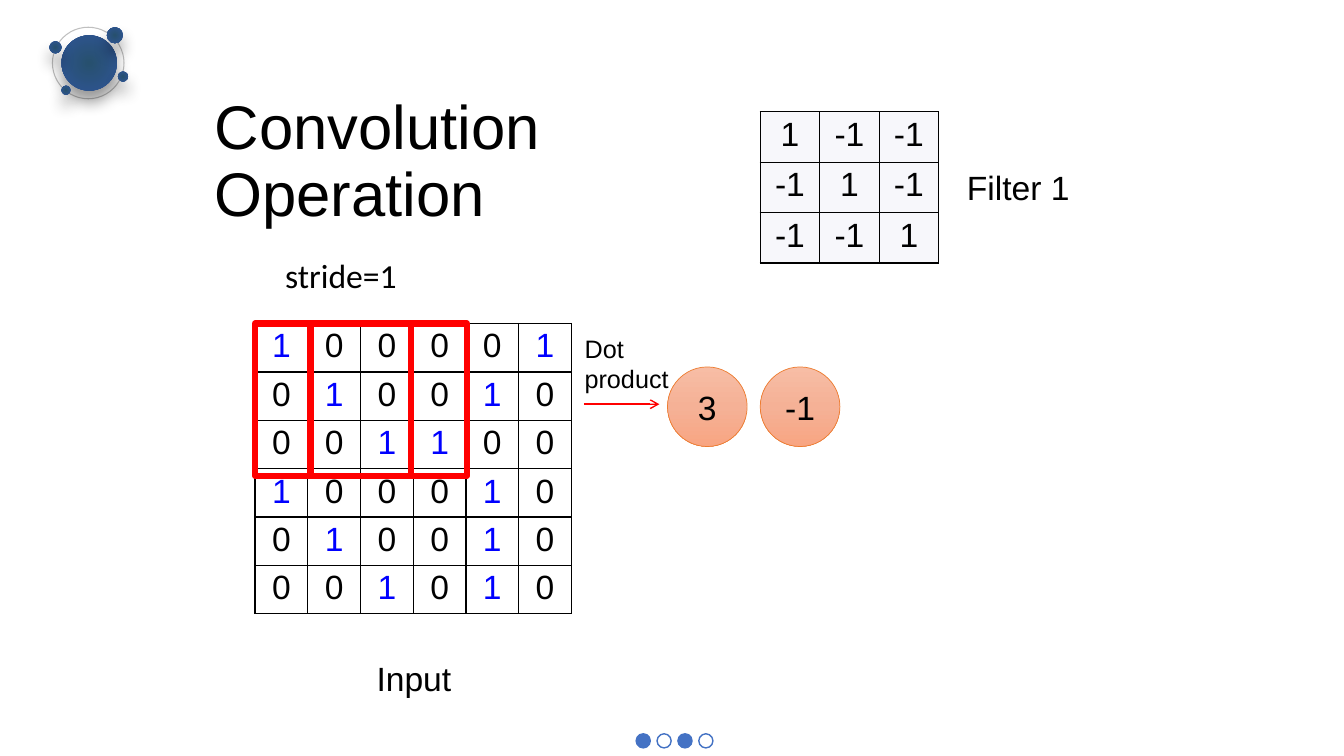
import pptx
import pptx.dml.color
import pptx.enum.shapes
import pptx.enum.text
import pptx.oxml
import pptx.oxml.ns
import pptx.util
from pptx.util import Inches

COLORS = {
    "black": "000000", "one": "0000FF", "red": "FF0000", "white": "FFFFFF",
    "filter": "F7F7FB", "ring": "BFBFBF", "dot": "4472C4", "result": "ED7D31",
}
ORB_STOPS = [(0, "27506E"), (100, "2F5597")]
RESULT_STOPS = [(0, "F7BDA5"), (50, "F5B196"), (100, "F8A582")]
RADIAL = '<a:path path="circle"><a:fillToRect l="50000" t="50000" r="50000" b="50000"/></a:path>'
LINEAR = '<a:lin ang="5400000" scaled="0"/>'
SHAPES = pptx.enum.shapes.MSO_SHAPE
CENTER = pptx.enum.text.PP_ALIGN.CENTER
LEFT = pptx.enum.text.PP_ALIGN.LEFT
MIDDLE = pptx.enum.text.MSO_ANCHOR.MIDDLE
TOP = pptx.enum.text.MSO_ANCHOR.TOP

INPUT = ["100001", "010010", "001100", "100010", "010010", "001010"]
FILTER = [["1" if row == column else "-1" for column in range(3)] for row in range(3)]


def color(name):
    """Return the named colour."""
    return pptx.dml.color.RGBColor.from_string(COLORS[name])


def element(tag, content="", attributes=""):
    """Build a DrawingML element."""
    namespace = pptx.oxml.ns.nsdecls("a")
    return pptx.oxml.parse_xml(f"<a:{tag} {namespace} {attributes}>{content}</a:{tag}>")


def write(text_frame, text, size=24, align=CENTER, font="Arial", ink="black", spacing=None):
    """Fill a text frame with one paragraph per line."""
    text_frame.text = text
    for paragraph in text_frame.paragraphs:
        paragraph.alignment = align
        paragraph.line_spacing = spacing
        paragraph.font.name = font
        paragraph.font.size = pptx.util.Pt(size)
        paragraph.font.color.rgb = color(ink)


def add_text(slide, box, text, wrap=True, anchor=TOP, **style):
    """Place a text box."""
    shape = slide.shapes.add_textbox(*map(Inches, box))
    shape.text_frame.word_wrap = wrap
    shape.text_frame.vertical_anchor = anchor
    write(shape.text_frame, text, **style)


def add_outline(slide, kind, box, fill=None, line=None, width=1):
    """Place a preset shape with an optional fill and line."""
    shape = slide.shapes.add_shape(kind, *map(Inches, box))
    shape.shadow.inherit = False
    if fill:
        shape.fill.solid()
        shape.fill.fore_color.rgb = color(fill)
    else:
        shape.fill.background()
    if line:
        shape.line.color.rgb = color(line)
        shape.line.width = pptx.util.Pt(width)
    else:
        shape.line.fill.background()
    return shape


def set_gradient(shape, stops, direction):
    """Replace the solid fill of a shape by a gradient."""
    content = "".join(
        f'<a:gs pos="{position * 1000}"><a:srgbClr val="{value}"/></a:gs>'
        for position, value in stops)
    properties = shape.element.spPr
    solid = properties.find(pptx.oxml.ns.qn("a:solidFill"))
    properties.replace(solid, element("gradFill", f"<a:gsLst>{content}</a:gsLst>{direction}"))


def add_ornament(slide, left, top):
    """Draw the ring with its orbiting balls."""
    add_outline(slide, SHAPES.OVAL, (left + 0.03, top, 0.71, 0.71), line="ring", width=0.75)
    orbs = [(0.12, 0.08, 0.55), (0.57, 0, 0.16), (0, 0.14, 0.12),
            (0.12, 0.58, 0.09), (0.68, 0.44, 0.1)]
    for x, y, size in orbs:
        orb = add_outline(slide, SHAPES.OVAL, (left + x, top + y, size, size), fill="dot")
        set_gradient(orb, ORB_STOPS, RADIAL)
        effects = orb.element.spPr.find(pptx.oxml.ns.qn("a:effectLst"))
        effects.append(element(
            "outerShdw", '<a:srgbClr val="000000"><a:alpha val="40000"/></a:srgbClr>',
            'blurRad="139700" dist="101600" dir="5400000"'))


def add_page_dots(slide, left, top):
    """Draw alternating filled and hollow dots."""
    for index in range(4):
        add_outline(slide, SHAPES.OVAL, (left + index * 0.207, top, 0.14, 0.14),
                    fill=None if index % 2 else "dot", line="dot")


def add_matrix(slide, left, top, cell_width, cell_height, values, fill=None, one="black"):
    """Draw a bordered table of numbers."""
    rows, columns = len(values), len(values[0])
    table = slide.shapes.add_table(
        rows, columns, Inches(left), Inches(top),
        Inches(columns * cell_width), Inches(rows * cell_height)).table
    table.first_row = table.horz_banding = False
    border = f'<a:solidFill><a:srgbClr val="{COLORS["black"]}"/></a:solidFill>'
    for column in table.columns:
        column.width = Inches(cell_width)
    for row, row_values in zip(table.rows, values):
        row.height = Inches(cell_height)
        for cell, value in zip(row.cells, row_values):
            cell.margin_top = cell.margin_bottom = Inches(0.04)
            write(cell.text_frame, value, ink=one if value == "1" else "black")
            if fill:
                cell.fill.solid()
                cell.fill.fore_color.rgb = color(fill)
            else:
                cell.fill.background()
            properties = cell._tc.get_or_add_tcPr()
            for index, side in enumerate(("lnL", "lnR", "lnT", "lnB")):
                properties.insert(index, element(side, border, 'w="12700"'))


def add_input(slide, left, top):
    """Draw the input matrix, its caption and the two filter windows."""
    add_matrix(slide, left, top, 0.523, 0.472, INPUT, one="one")
    add_text(slide, (left + 0.29, top + 3.27, 2.57, 0.5), "Input")
    add_text(slide, (left + 0.2, top - 0.73, 1.32, 0.51), "stride=1",
             wrap=False, align=LEFT, font="Calibri")
    for offset in (0, 0.55):
        add_outline(slide, SHAPES.RECTANGLE, (left + offset, top, 1.55, 1.51),
                    line="red", width=4.5)


def add_filter(slide, left, top):
    """Draw the filter matrix and its name."""
    add_matrix(slide, left, top, 0.59, 0.5, FILTER, fill="filter")
    add_text(slide, (left + 1.77, top + 0.5, 1.58, 0.51), "Filter 1")


def add_dot_product(slide, left, top):
    """Draw the labelled arrow and the resulting values."""
    for index, value in enumerate(("3", "-1")):
        circle = add_outline(slide, SHAPES.OVAL,
                             (left + 0.92 + index * 0.92, top + 0.38, 0.79, 0.79),
                             fill="result", line="result", width=0.5)
        set_gradient(circle, RESULT_STOPS, LINEAR)
        circle.text_frame.vertical_anchor = MIDDLE
        write(circle.text_frame, value)
    arrow = slide.shapes.add_connector(
        pptx.enum.shapes.MSO_CONNECTOR.STRAIGHT,
        *map(Inches, (left + 0.09, top + 0.75, left + 0.84, top + 0.75)))
    arrow.line.color.rgb = color("red")
    arrow.line.width = pptx.util.Pt(1)
    arrow.line._get_or_add_ln().append(element("tailEnd", attributes='type="arrow"'))
    arrow.element.spPr.append(element("effectLst"))
    add_text(slide, (left, top, 1.04, 0.71), "Dot\nproduct", wrap=False, size=18, align=LEFT)


def main():
    """Build the convolution slide."""
    presentation = pptx.Presentation()
    presentation.slide_width = Inches(13.33)
    presentation.slide_height = Inches(7.5)
    slide = presentation.slides.add_slide(presentation.slide_layouts[6])
    slide.background.fill.solid()
    slide.background.fill.fore_color.rgb = color("white")
    add_ornament(slide, 0.49, 0.27)
    add_page_dots(slide, 6.31, 7.28)
    add_text(slide, (2.03, 0.89, 3.65, 1.45), "Convolution\nOperation",
             anchor=MIDDLE, size=44, align=LEFT, spacing=0.9)
    add_input(slide, 2.53, 3.21)
    add_filter(slide, 7.54, 1.11)
    add_dot_product(slide, 5.7, 3.26)
    presentation.save("out.pptx")


if __name__ == "__main__":
    main()
